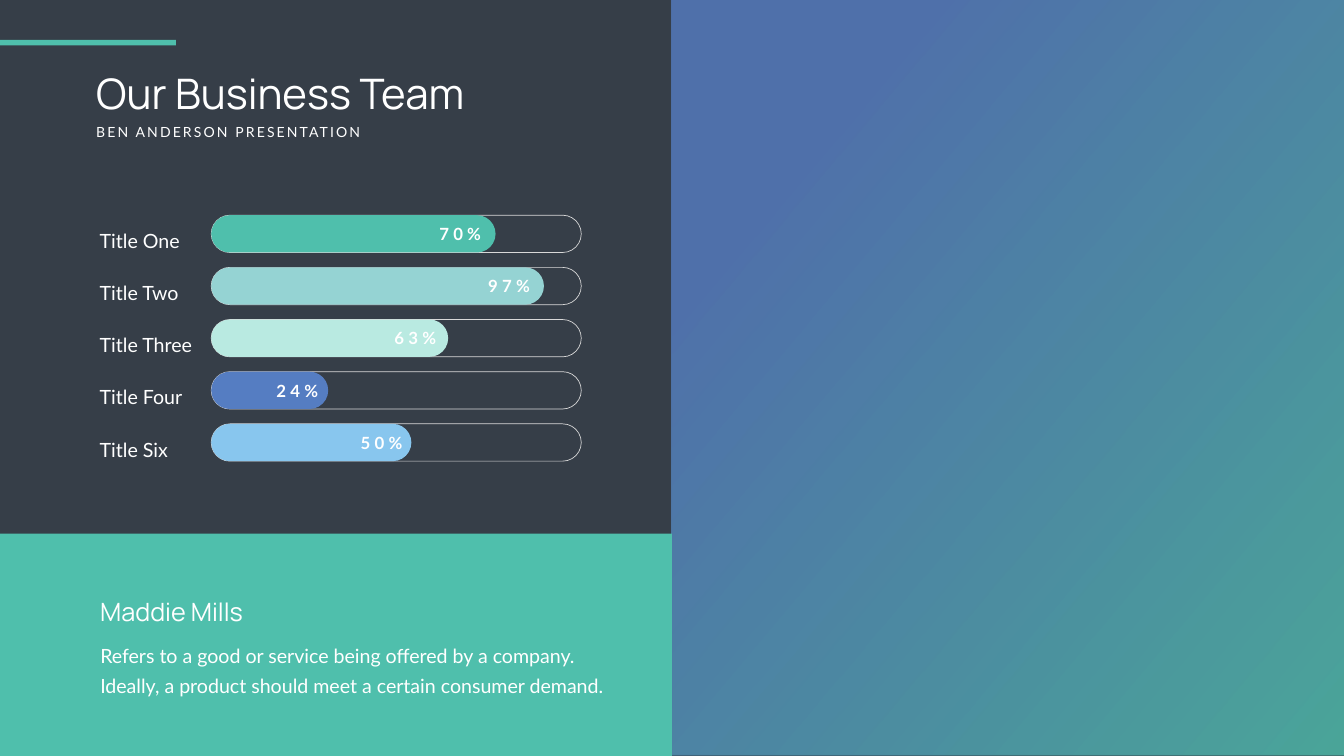
import dataclasses

import pptx
import pptx.dml.color
import pptx.enum.shapes
import pptx.enum.text
import pptx.oxml
import pptx.oxml.ns
import pptx.util

Inches = pptx.util.Inches
Pt = pptx.util.Pt
Shape = pptx.enum.shapes.MSO_SHAPE
Align = pptx.enum.text.PP_ALIGN
Anchor = pptx.enum.text.MSO_ANCHOR


@dataclasses.dataclass(frozen=True)
class Theme:
    background: str = "363E48"
    text: str = "FFFFFF"
    outline: str = "D9D9D9"
    green: str = "4FBFAC"
    teal: str = "95D3D3"
    mint: str = "B9EAE1"
    blue: str = "557DC2"
    sky: str = "88C6EE"
    heading_font: str = "Manrope"
    body_font: str = "Lato"
    title_size: int = 60
    name_size: int = 36
    body_size: int = 28
    percent_size: int = 24
    subtitle_size: int = 20


def rgb(color):
    return pptx.dml.color.RGBColor.from_string(color)


class SlideBuilder:
    def __init__(self, slide, theme):
        self.slide = slide
        self.theme = theme
        background = slide.background.fill
        background.solid()
        background.fore_color.rgb = rgb(theme.background)

    def shape(self, box, kind=Shape.RECTANGLE, fill=None, line=None):
        shape = self.slide.shapes.add_shape(kind, *map(Inches, box))
        shape.shadow.inherit = False
        if fill:
            shape.fill.solid()
            shape.fill.fore_color.rgb = rgb(fill)
        else:
            shape.fill.background()
        if line:
            shape.line.color.rgb = rgb(line)
            shape.line.width = Pt(1)
        else:
            shape.line.fill.background()
        return shape

    def pill(self, box, fill=None, line=None):
        self.shape(box, Shape.ROUNDED_RECTANGLE, fill, line).adjustments[0] = 0.5

    def gradient_panel(self, box, stops, angle, opacity):
        """Fill a panel along a counter-clockwise angle; opacity in percent."""
        panel = self.shape(box)
        panel.fill.gradient()
        panel.fill.gradient_angle = angle
        for stop, (position, color) in zip(panel.fill.gradient_stops, stops):
            stop.position = position
            stop.color.rgb = rgb(color)
        for color in panel._element.spPr.iter(pptx.oxml.ns.qn("a:srgbClr")):
            alpha = pptx.oxml.parse_xml(
                f'<a:alpha {pptx.oxml.ns.nsdecls("a")} val="{opacity * 1000}"/>')
            color.append(alpha)

    def text(self, box, wording, size, font=None, bold=False, align=Align.LEFT,
             anchor=Anchor.MIDDLE, line_height=None, tracking=0, wrap=True):
        frame = self.slide.shapes.add_textbox(*map(Inches, box)).text_frame
        frame.word_wrap = wrap
        frame.vertical_anchor = anchor
        paragraph = frame.paragraphs[0]
        paragraph.text = wording
        paragraph.alignment = align
        if line_height:
            paragraph.line_spacing = Pt(line_height)
        paragraph.font.name = font or self.theme.body_font
        paragraph.font.size = Pt(size)
        paragraph.font.bold = bold
        paragraph.font.color.rgb = rgb(self.theme.text)
        if tracking:
            run_properties = paragraph.runs[0]._r.get_or_add_rPr()
            run_properties.set("spc", str(tracking * 100))

    def skill_bar(self, top, label, percent, length, percent_left, color):
        theme = self.theme
        left, full_length, height = 4.19, 7.34, 0.74
        self.pill((left, top, full_length, height), line=theme.outline)
        self.pill((left, top, length, height), fill=color)
        self.text((1.88, top + 0.12, 2.04, 0.49), label, theme.body_size,
                  anchor=Anchor.TOP, line_height=40.8)
        self.text((percent_left, top + 0.17, 1.07, 0.4), percent,
                  theme.percent_size, bold=True, align=Align.RIGHT,
                  tracking=6, wrap=False)


def main():
    theme = Theme()
    deck = pptx.Presentation()
    deck.slide_width, deck.slide_height = Inches(26.66), Inches(15)
    builder = SlideBuilder(deck.slides.add_slide(deck.slide_layouts[6]), theme)

    builder.gradient_panel((13.33, -0.02, 13.33, 15.02),
                           [(0, theme.green), (0.79, theme.blue)],
                           angle=140, opacity=80)

    builder.text((1.81, 1.28, 9.71, 1.11), "Our Business Team",
                 theme.title_size, theme.heading_font)
    builder.shape((0, 0.79, 3.49, 0.11), fill=theme.green)
    builder.text((1.81, 2.39, 5.85, 0.44), "BEN ANDERSON PRESENTATION",
                 theme.subtitle_size, tracking=3)

    builder.shape((0, 10.59, 13.33, 4.41), fill=theme.green)
    builder.text((1.89, 11.76, 6.56, 0.73), "Maddie Mills",
                 theme.name_size, theme.heading_font)
    builder.text((1.89, 12.59, 10.22, 1.24),
                 "Refers to a good or service being offered by a company. "
                 "Ideally, a product should meet a certain consumer demand.",
                 theme.body_size, anchor=Anchor.TOP, line_height=43)

    # Label, percentage, bar length, left edge of the percentage, colour
    skills = [
        ("Title One", "70%", 5.64, 8.57, theme.green),
        ("Title Two", "97%", 6.6, 9.54, theme.teal),
        ("Title Three", "63%", 4.7, 7.68, theme.mint),
        ("Title Four", "24%", 2.32, 5.34, theme.blue),
        ("Title Six", "50%", 3.97, 7.01, theme.sky),
    ]
    first_top, last_top = 4.27, 8.41
    pitch = (last_top - first_top) / (len(skills) - 1)
    for row, skill in enumerate(skills):
        builder.skill_bar(first_top + row * pitch, *skill)

    deck.save("out.pptx")


if __name__ == "__main__":
    main()
